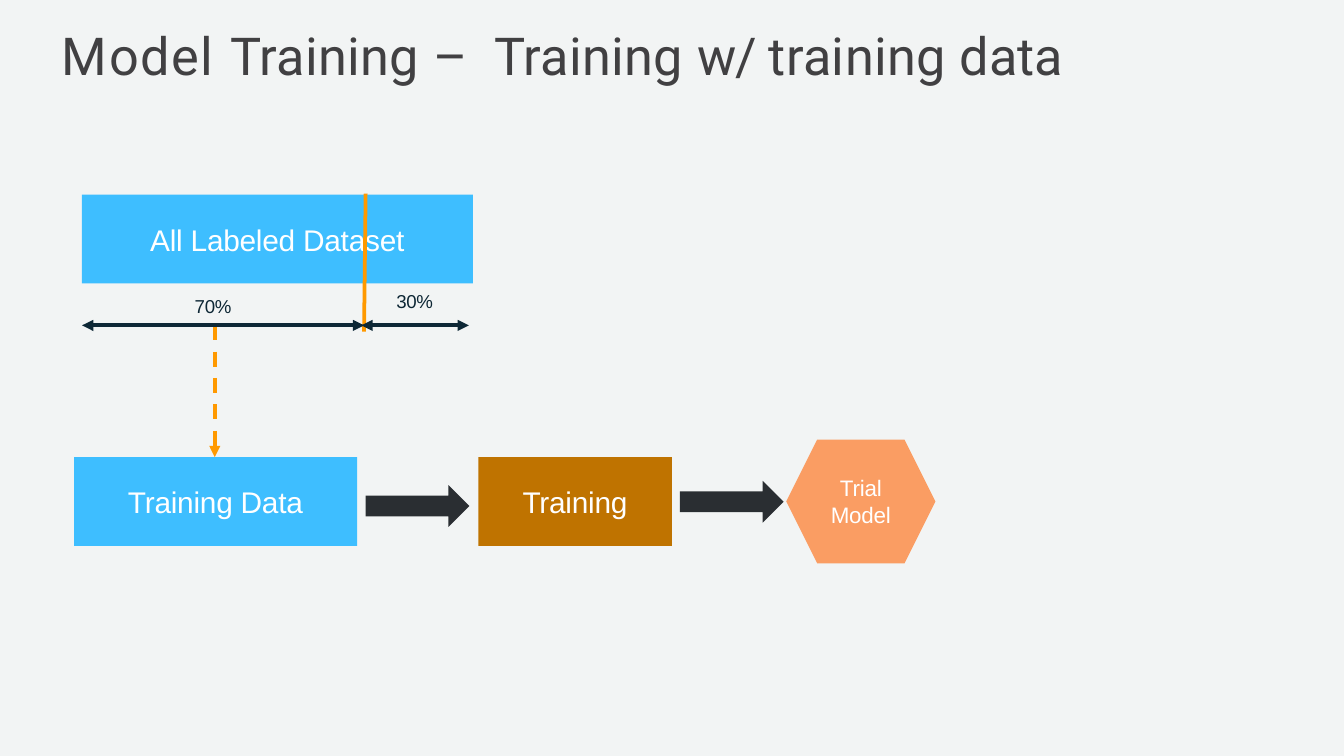
import pptx
import pptx.util
import pptx.dml.color
import pptx.enum.dml
import pptx.enum.shapes
import pptx.enum.text
import pptx.oxml
import pptx.oxml.ns
from dataclasses import dataclass

Cm = pptx.util.Cm
SHAPES = pptx.enum.shapes.MSO_SHAPE
ALIGN = pptx.enum.text.PP_ALIGN
ANCHOR = pptx.enum.text.MSO_ANCHOR


@dataclass(frozen=True)
class Theme:
    background: str = "F2F4F4"
    heading: str = "414042"
    data: str = "3EBEFF"
    process: str = "BF7300"
    model: str = "FA9D63"
    flow: str = "2A2E32"
    split: str = "FF9900"
    span: str = "0E2836"
    percent: str = "0E2735"
    on_fill: str = "FFFFFF"
    heading_font: str = "Roboto"
    body_font: str = "Arial"
    heading_size: int = 28
    stage_size: int = 16
    model_size: int = 12
    percent_size: int = 10
    line_width: int = 2


THEME = Theme()

TITLE = [
    ("Model ", 0.9), ("Training ", 0.2), ("– ", 3.7), ("Training ", 0.2),
    ("w/ ", -0.5), ("training ", 0.2), ("data", 0.1),
]
STAGE_HEIGHT = 1.68
STAGE_TOP = 8.64
STAGES = [
    ("All Labeled Dataset", SHAPES.RECTANGLE, (1.55, 3.68, 7.39, STAGE_HEIGHT), THEME.data, THEME.stage_size),
    ("Training Data", SHAPES.RECTANGLE, (1.4, STAGE_TOP, 5.35, STAGE_HEIGHT), THEME.data, THEME.stage_size),
    ("Training", SHAPES.RECTANGLE, (9.04, STAGE_TOP, 3.66, STAGE_HEIGHT), THEME.process, THEME.stage_size),
    ("Trial\vModel", SHAPES.HEXAGON, (14.86, 8.31, 2.82, 2.34), THEME.model, THEME.model_size),
]
FLOWS = [(6.91, 9.17), (12.85, 9.09)]
FLOW_SIZE = (1.96, 0.79)
PERCENTS = [("70%", 3.68, 5.58), ("30%", 7.49, 5.48)]
SPAN_Y = 6.15
SPANS = [(1.55, 6.88), (6.83, 8.86)]
SPLIT = (6.91, 3.66, 6.88, 6.27)
TRAINING_X = 4.06


def rgb(value):
    return pptx.dml.color.RGBColor.from_string(value)


def write(frame, runs, *, size, color, font=THEME.body_font, align=ALIGN.LEFT,
          anchor=ANCHOR.TOP, wrap=True):
    frame.word_wrap = wrap
    frame.vertical_anchor = anchor
    frame.margin_left = frame.margin_right = frame.margin_top = frame.margin_bottom = 0
    paragraph = frame.paragraphs[0]
    paragraph.alignment = align
    for text, spacing in runs:
        for index, line in enumerate(text.split("\v")):
            if index:
                paragraph.add_line_break()
            run = paragraph.add_run()
            run.text = line
            run.font.name = font
            run.font.size = pptx.util.Pt(size)
            run.font.color.rgb = rgb(color)
            run.font._element.set("spc", str(round(spacing * 100)))


def add_block(slide, kind, box, color):
    block = slide.shapes.add_shape(kind, *map(Cm, box))
    block.shadow.inherit = False
    block.fill.solid()
    block.fill.fore_color.rgb = rgb(color)
    block.line.fill.background()
    return block


def add_line(slide, ends, color, heads=(), dashed=False):
    line = slide.shapes.add_connector(pptx.enum.shapes.MSO_CONNECTOR.STRAIGHT, *map(Cm, ends))
    line.line.color.rgb = rgb(color)
    line.line.width = pptx.util.Pt(THEME.line_width)
    if dashed:
        line.line.dash_style = pptx.enum.dml.MSO_LINE.DASH
    outline = line.line._get_or_add_ln()
    for head in heads:
        end = pptx.oxml.ns.qn(f"a:{head}")
        outline.append(outline.makeelement(end, {"type": "triangle"}))
    properties = line._element.spPr
    properties.append(properties.makeelement(pptx.oxml.ns.qn("a:effectLst"), {}))


def add_label(slide, box, runs, **style):
    label = slide.shapes.add_textbox(*map(Cm, box))
    write(label.text_frame, runs, **style)


def main():
    deck = pptx.Presentation()
    deck.slide_width, deck.slide_height = Cm(25.4), Cm(14.29)
    slide = deck.slides.add_slide(deck.slide_layouts[6])
    slide.background.fill.solid()
    slide.background.fill.fore_color.rgb = rgb(THEME.background)

    add_label(slide, (1.17, 0.44, 19.05, 1.2), TITLE, size=THEME.heading_size,
              color=THEME.heading, font=THEME.heading_font, wrap=False)
    for name, kind, box, color, size in STAGES:
        stage = add_block(slide, kind, box, color)
        write(stage.text_frame, [(name, -0.1)], size=size, color=THEME.on_fill,
              align=ALIGN.CENTER, anchor=ANCHOR.MIDDLE)
    for corner in FLOWS:
        add_block(slide, SHAPES.RIGHT_ARROW, corner + FLOW_SIZE, THEME.flow)

    add_line(slide, SPLIT, THEME.split)
    add_line(slide, (TRAINING_X, SPAN_Y, TRAINING_X, STAGE_TOP), THEME.split,
             heads=("tailEnd",), dashed=True)
    for start, end in SPANS:
        add_line(slide, (start, SPAN_Y, end, SPAN_Y), THEME.span, heads=("headEnd", "tailEnd"))
    for percent, left, top in PERCENTS:
        add_label(slide, (left, top, 0.76, 0.42), [(percent, -0.1)],
                  size=THEME.percent_size, color=THEME.percent, wrap=False)

    deck.save("out.pptx")


if __name__ == "__main__":
    main()
